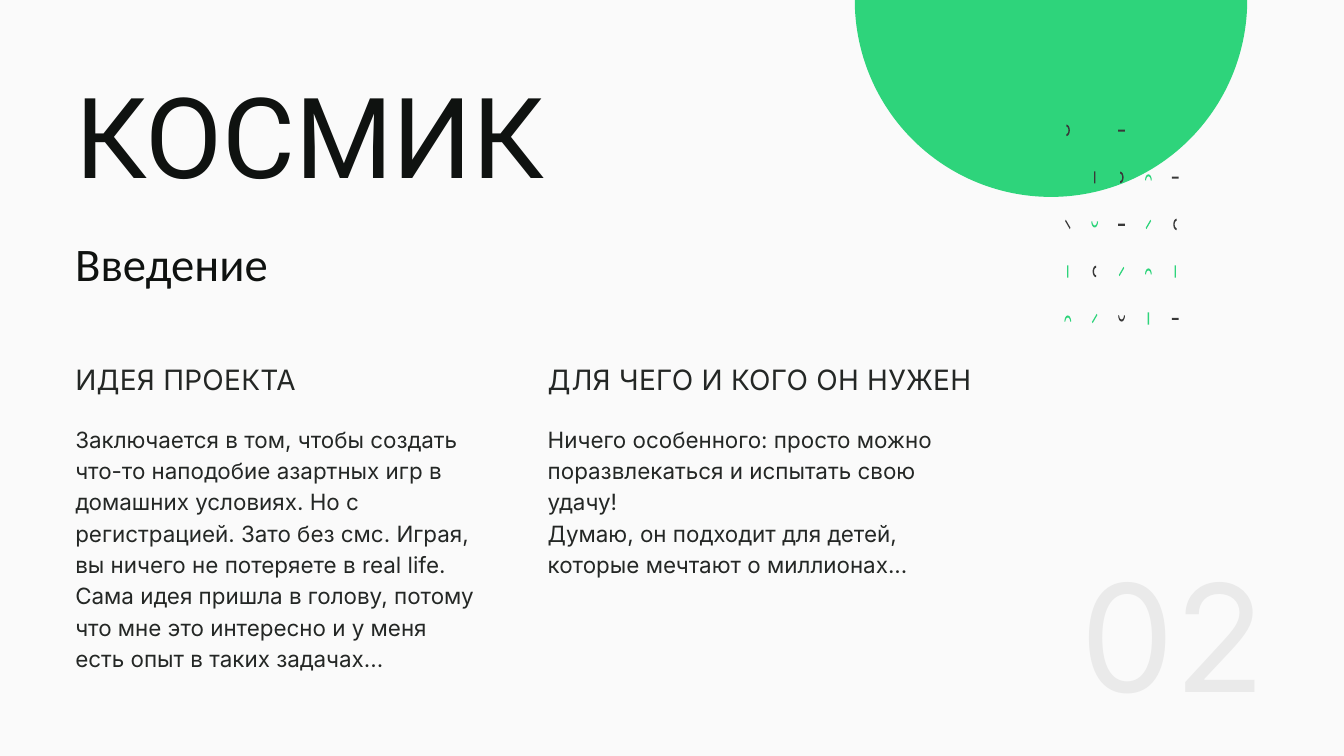
import math
from pptx import Presentation
from pptx import util as u
from pptx.dml.color import RGBColor
from pptx.enum import shapes, text
from pptx.oxml.ns import qn

HUES = {"back": "FAFAFA", "green": "2ED47B", "dark": "383838",
        "title": "0F1210", "body": "242725", "page": "EAEAEA"}

# Confetti grid: each character is one small mark
MARKS = {
    "dark": [") -  ", " |) -", r"\ - (", " (   ", "  u -"],
    "green": ["     ", "   n ", " u / ", "| /n|", "n/ | "],
}
LINES = {
    "-": [(-.05, -.01), (.05, -.01), (.05, .02), (-.05, .02)],
    "|": [(-.01, -.09), (.01, -.09), (.01, .09), (-.01, .09)],
    "/": [(-.04, .05), (.03, -.07), (.04, -.05), (-.03, .07)],
    "\\": [(-.04, -.05), (-.03, -.07), (.04, .05), (.03, .07)],
}
# Arc marks: start angle, shift, outer radii, inner radii
ARCS = {
    ")": (-90, (-.02, 0), (.05, .085), (.03, .055)),
    "(": (90, (.02, 0), (.05, .085), (.03, .055)),
    "n": (180, (0, .045), (.05, .09), (.035, .06)),
    "u": (0, (0, -.045), (.05, .09), (.035, .06)),
}


def mark(sign):
    """Outline of one mark around its grid point, in inches."""
    if sign in LINES:
        return LINES[sign]
    start, (dx, dy), out, inn = ARCS[sign]
    turn = [math.radians(start + 15 * i) for i in range(13)]

    def side(size, angles):
        return [(dx + size[0] * math.cos(a), dy + size[1] * math.sin(a))
                for a in angles]
    return side(out, turn) + side(inn, turn[::-1])


def write(shape, *lines, size, hue, font="Inter", lead=None, gap=0,
          align=text.PP_ALIGN.LEFT):
    frame = shape.text_frame
    frame.word_wrap = True
    frame.auto_size = text.MSO_AUTO_SIZE.NONE
    frame.vertical_anchor = text.MSO_ANCHOR.TOP
    frame.margin_left = frame.margin_right = 0
    frame.margin_top = frame.margin_bottom = 0
    for i, line in enumerate(lines):
        para = frame.add_paragraph() if i else frame.paragraphs[0]
        props = para._p.get_or_add_pPr()
        props.set("marL", "0")
        props.set("indent", "0")
        props.append(props.makeelement(qn("a:buNone"), {}))
        para.alignment = align
        para.space_before = para.space_after = u.Pt(0)
        if lead:
            para.line_spacing = u.Pt(lead)
        run = para.add_run()
        run.text = line
        run.font.name, run.font.size = font, u.Pt(size)
        run.font.bold = False
        run.font.color.rgb = RGBColor.from_string(HUES[hue])
        if gap:
            run._r.get_or_add_rPr().set("spc", str(round(gap * 100)))


class Deck:
    def __init__(self, wide, high):
        self.prs = Presentation()
        self.prs.slide_width = u.Inches(wide)
        self.prs.slide_height = u.Inches(high)

    def add(self, layout):
        self.slide = self.prs.slides.add_slide(self.prs.slide_layouts[layout])
        fill = self.slide.background.fill
        fill.solid()
        fill.fore_color.rgb = RGBColor.from_string(HUES["back"])

    def paint(self, shape, hue):
        shape.shadow.inherit = False
        shape.fill.solid()
        shape.fill.fore_color.rgb = RGBColor.from_string(HUES[hue])
        shape.line.fill.background()

    def disc(self, x, y, w, h, hue):
        kind = shapes.MSO_SHAPE.OVAL
        box = map(u.Inches, (x, y, w, h))
        self.paint(self.slide.shapes.add_shape(kind, *box), hue)

    def marks(self, rows, hue, left=15.89, top=1.94, dx=.4, dy=.7):
        pen = None
        for r, row in enumerate(rows):
            for c, sign in enumerate(row):
                if sign == " ":
                    continue
                pts = [(u.Inches(left + c * dx + x), u.Inches(top + r * dy + y))
                       for x, y in mark(sign)]
                if pen is None:
                    pen = self.slide.shapes.build_freeform(*pts[0])
                else:
                    pen.move_to(*pts[0])
                pen.add_line_segments(pts[1:], close=True)
        self.paint(pen.convert_to_shape(), hue)

    def fill(self, index, x, y, w, h, *lines, **form):
        shape = self.slide.placeholders[index]
        shape.left, shape.top = u.Inches(x), u.Inches(y)
        shape.width, shape.height = u.Inches(w), u.Inches(h)
        write(shape, *lines, **form)

    def label(self, x, y, w, h, line, **form):
        box = map(u.Inches, (x, y, w, h))
        write(self.slide.shapes.add_textbox(*box), line, **form)


def main():
    deck = Deck(20, 11.25)
    deck.add(4)

    # Decoration
    deck.disc(12.72, -2.93, 5.84, 5.86, "green")
    for hue, rows in MARKS.items():
        deck.marks(rows, hue)

    # Title and subtitle
    deck.fill(0, 1.12, 1.27, 9.2, 1.84, "КОСМИК",
              size=120, hue="title", font="Roboto", lead=123.6)
    deck.label(1.12, 3.36, 9.2, .92, "Введение",
               size=50, hue="title", font="Calibri", lead=70)

    # Two columns: heading above text
    cols = [
        (1.12, 5.97, 3.64, "ИДЕЯ ПРОЕКТА", [
            "Заключается в том, чтобы создать что-то наподобие азартных игр "
            "в домашних условиях. Но с регистрацией. Зато без смс. Играя, "
            "вы ничего не потеряете в real life.",
            "Сама идея пришла в голову, потому что мне это интересно "
            "и у меня есть опыт в таких задачах..."]),
        (8.15, 6.49, 2.26, "ДЛЯ ЧЕГО И КОГО ОН НУЖЕН", [
            "Ничего особенного: просто можно поразвлекаться и испытать "
            "свою удачу!",
            "Думаю, он подходит для детей, которые мечтают о миллионах..."]),
    ]
    for i, (x, w, h, head, body) in enumerate(cols):
        deck.fill(1 + 2 * i, x, 5.31, w, .55, head,
                  size=30, hue="body", lead=42, gap=.3)
        deck.fill(2 + 2 * i, x, 6.27, w, h, *body,
                  size=24, hue="body", lead=33.6)

    # Page number
    deck.label(15.33, 8.09, 3.5, 2.7, "02", size=160, hue="page",
               align=text.PP_ALIGN.RIGHT)

    deck.prs.save("out.pptx")


if __name__ == "__main__":
    main()
